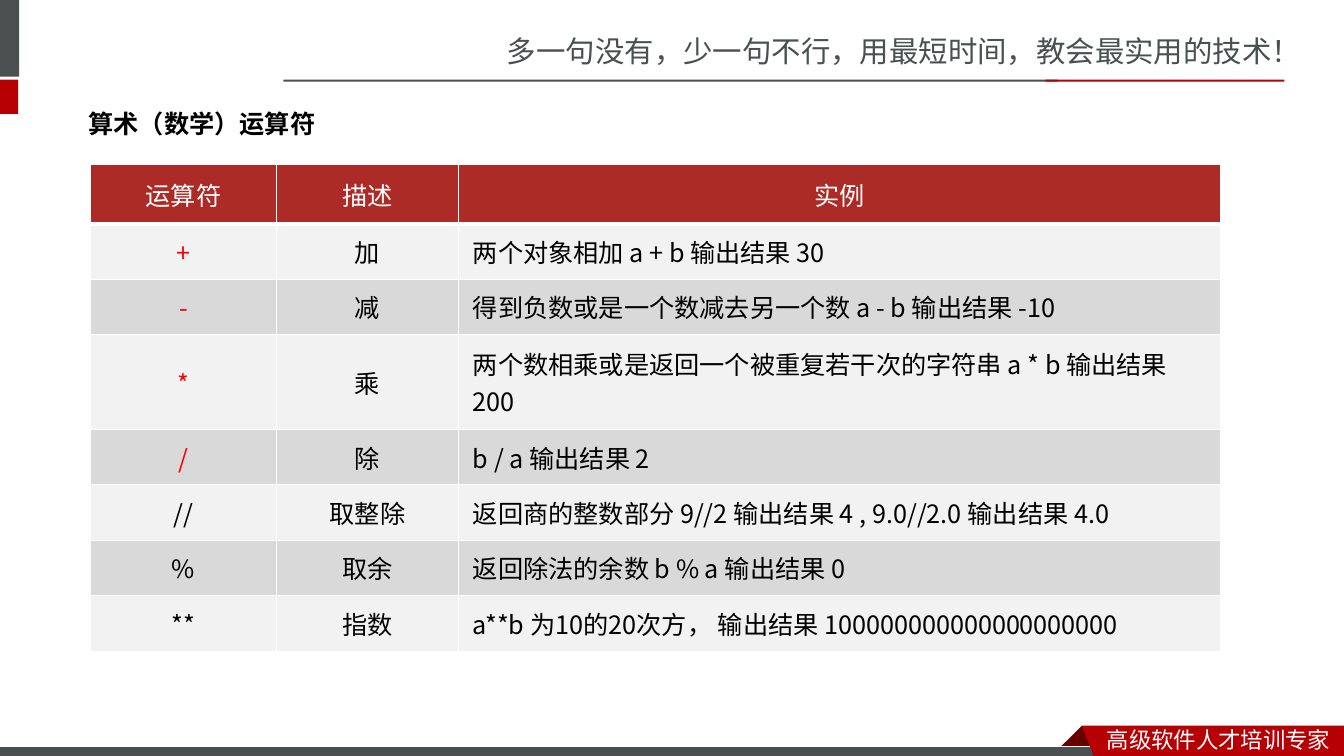
from lxml.etree import SubElement
from pptx import Presentation
from pptx.dml.color import RGBColor
from pptx.enum.shapes import MSO_SHAPE
from pptx.enum.text import MSO_ANCHOR, MSO_AUTO_SIZE, PP_ALIGN
from pptx.oxml.ns import qn
from pptx.util import Inches, Pt

WHITE = RGBColor(0xFF, 0xFF, 0xFF)
BLACK = RGBColor(0, 0, 0)
SLATE = RGBColor(0x49, 0x50, 0x4F)
RED = RGBColor(0xB6, 0x00, 0x04)
DARK_RED = RGBColor(0x68, 0x00, 0x00)
HEADER_RED = RGBColor(0xAD, 0x2B, 0x26)
SYMBOL_RED = RGBColor(0xFF, 0x00, 0x00)
LIGHT_GREY = RGBColor(0xF2, 0xF2, 0xF2)
MID_GREY = RGBColor(0xD9, 0xD9, 0xD9)

SC_FONT = "Noto Sans CJK SC"
JP_FONT = "Noto Sans CJK JP"

HEADINGS = ("运算符", "描述", "实例")
OPERATORS = [
    ("+", "加", "两个对象相加 a + b 输出结果 30"),
    ("-", "减", "得到负数或是一个数减去另一个数 a - b 输出结果 -10"),
    ("*", "乘", "两个数相乘或是返回一个被重复若干次的字符串 a * b 输出结果 200"),
    ("/", "除", "b / a 输出结果 2"),
    ("//", "取整除", "返回商的整数部分 9//2 输出结果 4 , 9.0//2.0 输出结果 4.0"),
    ("%", "取余", "返回除法的余数 b % a 输出结果 0"),
    ("**", "指数", "a**b 为10的20次方， 输出结果 100000000000000000000"),
]
BASIC_OPERATORS = "+-*/"
COLUMN_WIDTHS = (1.84, 1.81, 7.56)
HEADER_HEIGHT, ROW_HEIGHT, TWO_LINE_HEIGHT = 0.59, 0.55, 0.94


class SlideBuilder:
    def __init__(self, slide):
        self.slide = slide
        self.shapes = slide.shapes

    def style(self, paragraph, size, color, latin=SC_FONT, bold=False):
        font = paragraph.font
        font.size, font.name, font.bold = Pt(size), latin, bold
        font.color.rgb = color
        properties = paragraph._p.pPr.find(qn("a:defRPr"))
        SubElement(properties, qn("a:ea"), typeface=SC_FONT)

    def paint(self, shape, fill, line=None):
        shape.shadow.inherit = False
        shape.fill.solid()
        shape.fill.fore_color.rgb = fill
        if line is None:
            shape.line.fill.background()
        else:
            shape.line.color.rgb = line
            shape.line.width = Pt(0.75)

    def bar(self, left, top, width, height, fill, line=None):
        rectangle = self.shapes.add_shape(
            MSO_SHAPE.RECTANGLE, *map(Inches, (left, top, width, height)))
        self.paint(rectangle, fill, line)

    def polygon(self, points, fill):
        corners = [(Inches(x), Inches(y)) for x, y in points]
        outline = self.shapes.build_freeform(*corners[0])
        outline.add_line_segments(corners[1:], close=True)
        self.paint(outline.convert_to_shape(), fill)

    def text(self, words, box, size, color, wrap=True, **font):
        frame = self.shapes.add_textbox(*map(Inches, box)).text_frame
        frame.word_wrap = wrap
        frame.auto_size = MSO_AUTO_SIZE.SHAPE_TO_FIT_TEXT
        frame.text = words
        self.style(frame.paragraphs[0], size, color, **font)

    def borders(self, cell, top=1, bottom=1):
        widths = {"a:lnL": 1, "a:lnR": 1, "a:lnT": top, "a:lnB": bottom}
        for side, width in widths.items():
            line = SubElement(cell._tc.get_or_add_tcPr(), qn(side), w=str(Pt(width)))
            solid = SubElement(line, qn("a:solidFill"))
            SubElement(solid, qn("a:srgbClr"), val=str(WHITE))

    def cell(self, cell, words, fill, color, latin, centred, top=1, bottom=1):
        cell.text = words
        cell.vertical_anchor = MSO_ANCHOR.MIDDLE
        cell.margin_left = cell.margin_right = Inches(0.14)
        cell.margin_top = cell.margin_bottom = Inches(0.06)
        self.borders(cell, top, bottom)
        cell.fill.solid()
        cell.fill.fore_color.rgb = fill
        paragraph = cell.text_frame.paragraphs[0]
        paragraph.alignment = PP_ALIGN.CENTER if centred else PP_ALIGN.LEFT
        self.style(paragraph, 18, color, latin)

    def operator_table(self, left, top):
        heights = [HEADER_HEIGHT] + [
            TWO_LINE_HEIGHT if symbol == "*" else ROW_HEIGHT
            for symbol, _, _ in OPERATORS]
        table = self.shapes.add_table(
            len(heights), len(COLUMN_WIDTHS), Inches(left), Inches(top),
            Inches(sum(COLUMN_WIDTHS)), Inches(sum(heights))).table
        for column, width in zip(table.columns, COLUMN_WIDTHS):
            column.width = Inches(width)
        for row, height in zip(table.rows, heights):
            row.height = Inches(height)
        for c, heading in enumerate(HEADINGS):
            self.cell(table.cell(0, c), heading, HEADER_RED, WHITE, "Roboto",
                      centred=True, bottom=3)
        for r, operator in enumerate(OPERATORS, start=1):
            fill = LIGHT_GREY if r % 2 else MID_GREY
            for c, words in enumerate(operator):
                basic = c == 0 and words in BASIC_OPERATORS
                self.cell(table.cell(r, c), words, fill,
                          SYMBOL_RED if basic else BLACK, JP_FONT,
                          centred=c < 2, top=3 if r == 1 else 1)


def main():
    deck = Presentation()
    deck.slide_width, deck.slide_height = Inches(13.33), Inches(7.5)
    page = SlideBuilder(deck.slides.add_slide(deck.slide_layouts[6]))

    page.text("多一句没有，少一句不行，用最短时间，教会最实用的技术！",
              (4.93, 0.28, 8.41, 0.47), 21, SLATE)
    page.bar(-0.06, 0, 0.25, 0.76, SLATE)
    page.bar(-0.06, 0.79, 0.24, 0.34, RED)
    page.bar(2.81, 0.79, 7.68, 0.02, SLATE)
    page.bar(10.37, 0.79, 2.37, 0.02, RED)

    page.polygon([(10.73, 7.2), (10.95, 7.42), (10.94, 7.43),
                  (10.52, 7.43), (10.51, 7.42)], DARK_RED)
    page.bar(-0.01, 7.41, 11, 0.12, SLATE, line=WHITE)
    page.polygon([(10.73, 7.2), (13.33, 7.2), (13.33, 7.54), (10.86, 7.53)], RED)
    page.text("高级软件人才培训专家", (10.88, 7.15, 2.45, 0.37), 16, WHITE)

    page.text("算术（数学）运算符", (0.78, 1.03, 2.46, 0.4), 18, BLACK,
              wrap=False, latin="Calibri", bold=True)
    page.operator_table(0.9, 1.63)
    deck.save("out.pptx")


if __name__ == "__main__":
    main()
